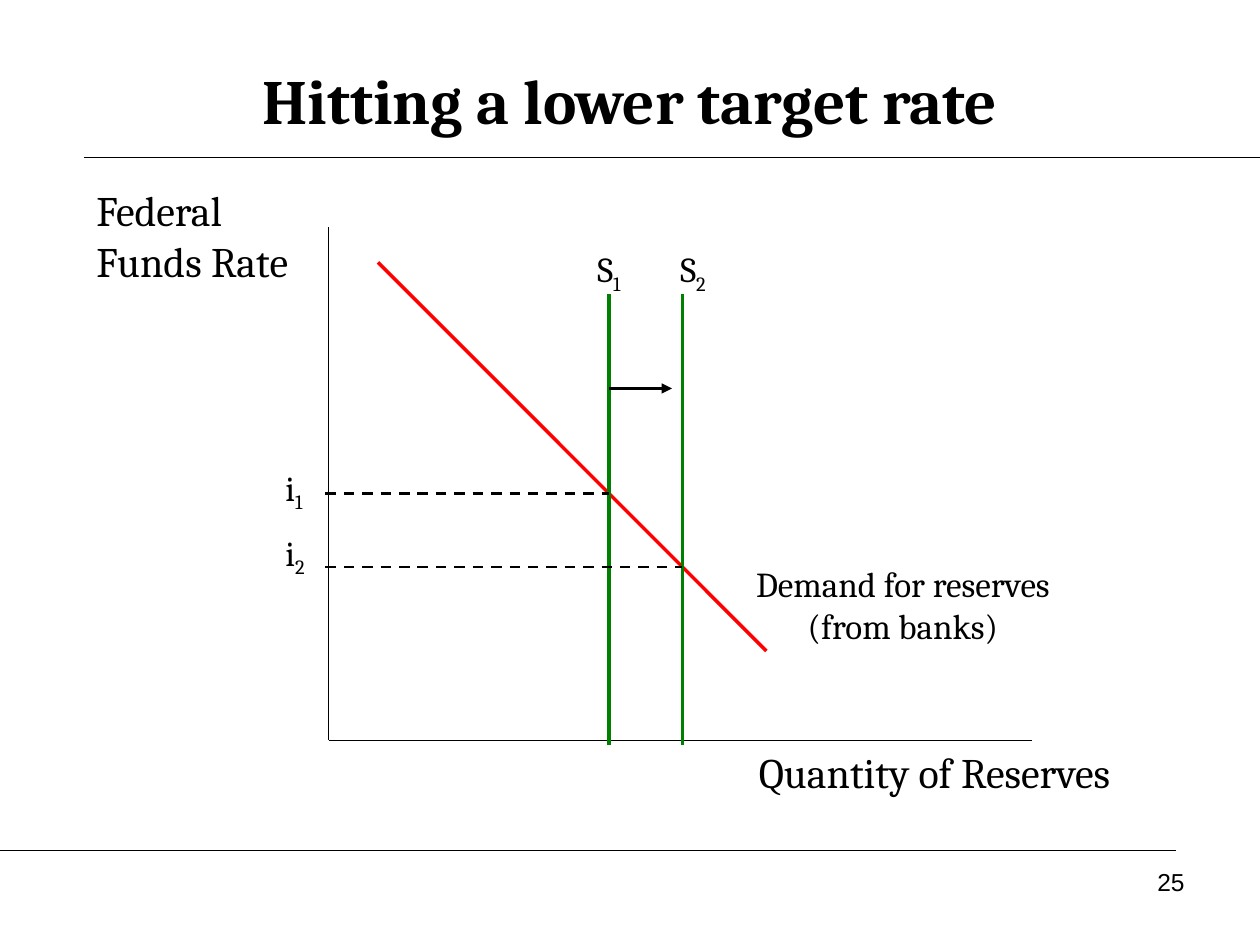
from dataclasses import dataclass

from lxml.etree import SubElement
from pptx import Presentation
from pptx.dml.color import RGBColor
from pptx.enum.dml import MSO_LINE
from pptx.enum.shapes import MSO_CONNECTOR
from pptx.enum.text import MSO_ANCHOR, MSO_AUTO_SIZE, PP_ALIGN
from pptx.oxml.ns import qn
from pptx.util import Inches, Pt

CELL = 1 / 12
COLUMNS, ROWS = 120, 90
BLACK, GREEN, RED = "000000", "008000", "FF0000"


@dataclass
class Box:
    """A region measured in grid columns and rows."""

    left: float
    top: float
    width: float
    height: float

    def inside(self, column, row, width, height):
        """Return a box placed relative to this one."""
        return Box(self.left + column, self.top + row, width, height)

    def point(self, column, row):
        """Return a point of this box as slide lengths."""
        return grid(self.left + column), grid(self.top + row)

    def place(self):
        """Return left, top, width and height as slide lengths."""
        return [grid(cells) for cells in (self.left, self.top, self.width, self.height)]


def grid(cells):
    """Convert grid cells to a length."""
    return Inches(cells * CELL)


def color(hex_string):
    """Convert a hex string to a colour."""
    return RGBColor.from_string(hex_string)


def write(shape, text, subscript="", size=20, font="Cambria", bold=False,
          align=PP_ALIGN.LEFT, anchor=MSO_ANCHOR.TOP):
    """Fill a shape with one formatted paragraph and an optional subscript."""
    frame = shape.text_frame
    frame.word_wrap = True
    frame.auto_size = MSO_AUTO_SIZE.NONE
    frame.vertical_anchor = anchor
    paragraph = frame.paragraphs[0]
    paragraph.text = text
    paragraph.alignment = align
    if subscript:
        run = paragraph.add_run()
        run.text = subscript
        run._r.get_or_add_rPr().set("baseline", "-25000")
    for run in paragraph.runs:
        run.font.size = Pt(size)
        run.font.name = font
        run.font.bold = bold
        run.font.color.rgb = color(BLACK)


def add_text(slide, box, text, **style):
    """Add a text box with formatted text."""
    write(slide.shapes.add_textbox(*box.place()), text, **style)


def add_line(slide, start, end, line_color=BLACK, width=0.75, dashed=False, arrow=False):
    """Add a straight line between two points."""
    connector = slide.shapes.add_connector(MSO_CONNECTOR.STRAIGHT, *start, *end)
    connector.line.color.rgb = color(line_color)
    connector.line.width = Pt(width)
    if dashed:
        connector.line.dash_style = MSO_LINE.DASH
    if arrow:
        SubElement(connector.line._get_or_add_ln(), qn("a:tailEnd"), type="triangle")
    SubElement(connector._element.spPr, qn("a:effectLst"))


def add_header(slide, box):
    """Place the title above its rule."""
    title = slide.shapes.title
    title.left, title.top, title.width, title.height = box.inside(6, 4, 108, 11).place()
    write(title, "Hitting a lower target rate", size=36, bold=True,
          align=PP_ALIGN.CENTER, anchor=MSO_ANCHOR.MIDDLE)
    add_line(slide, box.point(8, box.height), box.point(box.width, box.height))


def add_footer(slide, box):
    """Place the slide number below its rule."""
    add_line(slide, box.point(0, 0), box.point(box.width - 8, 0))
    add_text(slide, box.inside(86, 1, 28, 6.2), "25", size=14, font="Arial",
             align=PP_ALIGN.RIGHT)


def add_axes(slide, box):
    """Draw both axes and their names."""
    origin = box.point(23.3, 53.5)
    add_line(slide, box.point(23.3, 4.6), origin)
    add_line(slide, origin, box.point(90.3, 53.5))
    add_text(slide, box.inside(0, 0, 28, 10.8), "Federal\nFunds Rate", size=24)
    add_text(slide, box.inside(63, 53.5, 36, 10.8), "Quantity of Reserves", size=24,
             align=PP_ALIGN.CENTER)


def add_market(slide, box):
    """Draw demand, both supply lines and the rates where they cross."""
    demand_offset = 20
    supplies = [("1", 50, 45, 26.8), ("2", 57, 53, 33)]
    add_line(slide, box.point(28, 28 - demand_offset), box.point(65, 65 - demand_offset),
             RED, 2)
    add_text(slide, box.inside(60, 36, 36, 9.2), "Demand for reserves\n(from banks)",
             align=PP_ALIGN.CENTER)
    for number, quantity, label_left, rate_top in supplies:
        rate = quantity - demand_offset
        add_line(slide, box.point(quantity, 54), box.point(quantity, 11), GREEN, 2)
        add_line(slide, box.point(23, rate), box.point(quantity, rate), width=1.5,
                 dashed=True)
        add_text(slide, box.inside(label_left, 6, 10, 5.8), "S", subscript=number,
                 align=PP_ALIGN.CENTER)
        add_text(slide, box.inside(18, rate_top, 5, 5.8), "i", subscript=number)
    add_line(slide, box.point(50, 20), box.point(56, 20), width=1.5, arrow=True)


def main():
    """Build and save the slide."""
    presentation = Presentation()
    presentation.slide_width, presentation.slide_height = grid(COLUMNS), grid(ROWS)
    slide = presentation.slides.add_slide(presentation.slide_layouts[5])
    diagram = Box(8, 17, 104, 64)
    add_header(slide, Box(0, 0, COLUMNS, 15))
    add_axes(slide, diagram)
    add_market(slide, diagram)
    add_footer(slide, Box(0, 81, COLUMNS, 9))
    presentation.save("out.pptx")


if __name__ == "__main__":
    main()
